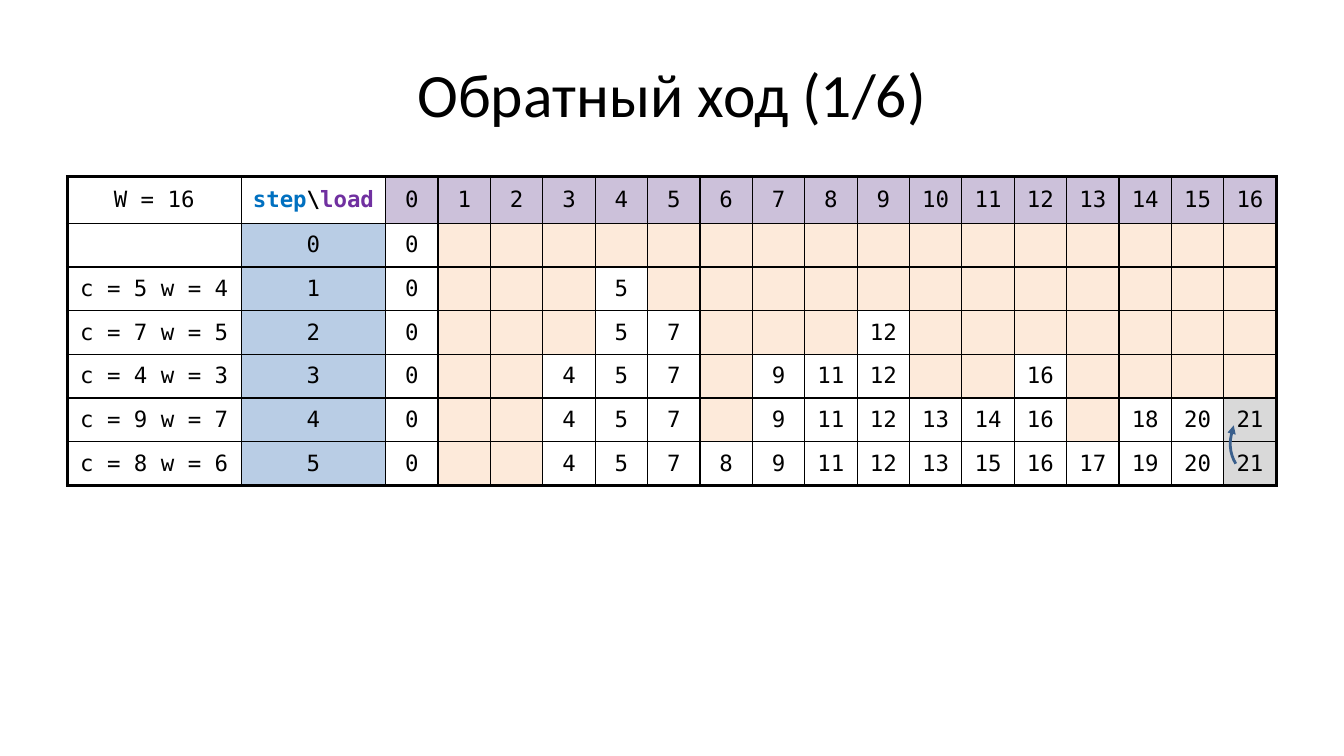
import pptx
import pptx.util
import pptx.dml.color
import pptx.enum.text
import pptx.oxml
import pptx.oxml.ns

RGBColor = pptx.dml.color.RGBColor
BLACK = RGBColor(0x00, 0x00, 0x00)
STEP_BLUE = RGBColor(0x00, 0x70, 0xC0)
LOAD_PURPLE = RGBColor(0x70, 0x30, 0xA0)
LOAD_FILL = RGBColor(0xCC, 0xC1, 0xDA)
STEP_FILL = RGBColor(0xB9, 0xCD, 0xE5)
UNREACHABLE_FILL = RGBColor(0xFD, 0xEA, 0xDA)
TRACED_FILL = RGBColor(0xD9, 0xD9, 0xD9)
ARROW_BLUE = RGBColor(0x3A, 0x5F, 0x8C)

PX = 3048  # EMU, 300 px to the inch
CAPACITY = 16
ITEMS = [(5, 4), (7, 5), (4, 3), (9, 7), (8, 6)]  # cost, weight
LOADS = range(CAPACITY + 1)


def knapsack_steps():
    """Best cost for each exactly reachable load, one dict per step."""
    steps = [{0: 0}]
    for cost, weight in ITEMS:
        best = dict(steps[-1])
        for load, total in steps[-1].items():
            if load + weight <= CAPACITY:
                best[load + weight] = max(best.get(load + weight, 0), total + cost)
        steps.append(best)
    return steps


def line_part(parent, tag, **attributes):
    part = pptx.oxml.parse_xml(f'<a:{tag} {pptx.oxml.ns.nsdecls("a")}/>')
    for name, value in attributes.items():
        part.set(name, str(value))
    parent.append(part)
    return part


class SlideWriter:
    title_font, title_size = "Calibri", 44
    cell_font, cell_size = "DejaVu Sans Mono", 16
    thin, thick = 1, 2.25

    def __init__(self, presentation):
        self.slide = presentation.slides.add_slide(presentation.slide_layouts[6])

    def runs(self, frame, parts, font, size):
        """Fill a centred paragraph with (text, colour, bold) parts."""
        frame.word_wrap = True
        paragraph = frame.paragraphs[0]
        paragraph.alignment = pptx.enum.text.PP_ALIGN.CENTER
        for text, colour, bold in parts:
            run = paragraph.add_run()
            run.text = text
            run.font.name, run.font.size = font, pptx.util.Pt(size)
            run.font.bold, run.font.color.rgb = bold, colour

    def title(self, text, left, top, width, height):
        frame = self.slide.shapes.add_textbox(
            left * PX, top * PX, width * PX, height * PX).text_frame
        frame.vertical_anchor = pptx.enum.text.MSO_ANCHOR.MIDDLE
        self.runs(frame, [(text, BLACK, False)], self.title_font, self.title_size)

    def cell(self, cell, parts, fill, thick_sides):
        cell.margin_left = cell.margin_right = 32 * PX
        cell.margin_top = cell.margin_bottom = 15 * PX
        cell.vertical_anchor = pptx.enum.text.MSO_ANCHOR.MIDDLE
        if parts:
            self.runs(cell.text_frame, parts, self.cell_font, self.cell_size)
        properties = cell._tc.get_or_add_tcPr()
        for side in "LRTB":
            points = self.thick if side in thick_sides else self.thin
            border = line_part(properties, f"ln{side}", w=pptx.util.Pt(points))
            line_part(line_part(border, "solidFill"), "srgbClr", val=BLACK)
        if fill is None:
            cell.fill.background()
        else:
            cell.fill.solid()
            cell.fill.fore_color.rgb = fill

    def table(self, rows, left, top, widths, heights):
        """Draw rows of (parts, fill) cells inside a thick frame."""
        table = self.slide.shapes.add_table(
            len(heights), len(widths), left * PX, top * PX,
            sum(widths) * PX, sum(heights) * PX).table
        table.first_row = table.horz_banding = False
        for column, width in zip(table.columns, widths):
            column.width = width * PX
        for row, height in zip(table.rows, heights):
            row.height = height * PX
        for r, row in enumerate(rows):
            for c, (parts, fill) in enumerate(row):
                edges = {"L": c == 0, "R": c == len(widths) - 1,
                         "T": r == 0, "B": r == len(heights) - 1}
                self.cell(table.cell(r, c), parts, fill,
                          [side for side, outer in edges.items() if outer])

    def curved_arrow(self, start, bezier_points, colour, points):
        builder = self.slide.shapes.build_freeform(*start, scale=PX)
        builder.add_line_segments(bezier_points, close=False)
        arrow = builder.convert_to_shape()
        path = arrow._element.find(".//" + pptx.oxml.ns.qn("a:path"))
        segments = path.findall(pptx.oxml.ns.qn("a:lnTo"))
        for first in range(0, len(segments), 3):
            curve = line_part(path, "cubicBezTo")
            for segment in segments[first:first + 3]:
                curve.append(segment[0])
                path.remove(segment)
        arrow.shadow.inherit = False
        arrow.fill.background()
        arrow.line.color.rgb = colour
        arrow.line.width = pptx.util.Pt(points)
        line_part(arrow.line._get_or_add_ln(), "tailEnd", type="triangle")


def plain(value, fill=None):
    return [(str(value), BLACK, False)], fill


def knapsack_rows():
    corner = [("step", STEP_BLUE, True), ("\\", BLACK, True), ("load", LOAD_PURPLE, True)]
    rows = [[plain(f"W = {CAPACITY}"), (corner, None)]
            + [plain(load, LOAD_FILL) for load in LOADS]]
    labels = [([], None)] + [plain(f"c = {c} w = {w}") for c, w in ITEMS]
    for step, (label, best) in enumerate(zip(labels, knapsack_steps())):
        row = [label, plain(step, STEP_FILL)]
        for load in LOADS:
            traced = load == CAPACITY and step >= len(ITEMS) - 1
            if load in best:
                row.append(plain(best[load], TRACED_FILL if traced else None))
            else:
                row.append(([], UNREACHABLE_FILL))
        rows.append(row)
    return rows


def main():
    presentation = pptx.Presentation()
    presentation.slide_width, presentation.slide_height = 4000 * PX, 2250 * PX
    writer = SlideWriter(presentation)
    writer.title("Обратный ход (1/6)", 200, 90, 3600, 375)
    writer.table(knapsack_rows(), 200, 525,
                 widths=[518, 430] + [156] * len(LOADS),
                 heights=[140] + [130] * (len(ITEMS) + 1))
    writer.curved_arrow((3678, 1380),
                        [(3669, 1365), (3663, 1347), (3662, 1329),
                         (3661, 1311), (3665, 1290), (3672, 1266)],
                        ARROW_BLUE, 2)
    presentation.save("out.pptx")


if __name__ == "__main__":
    main()
